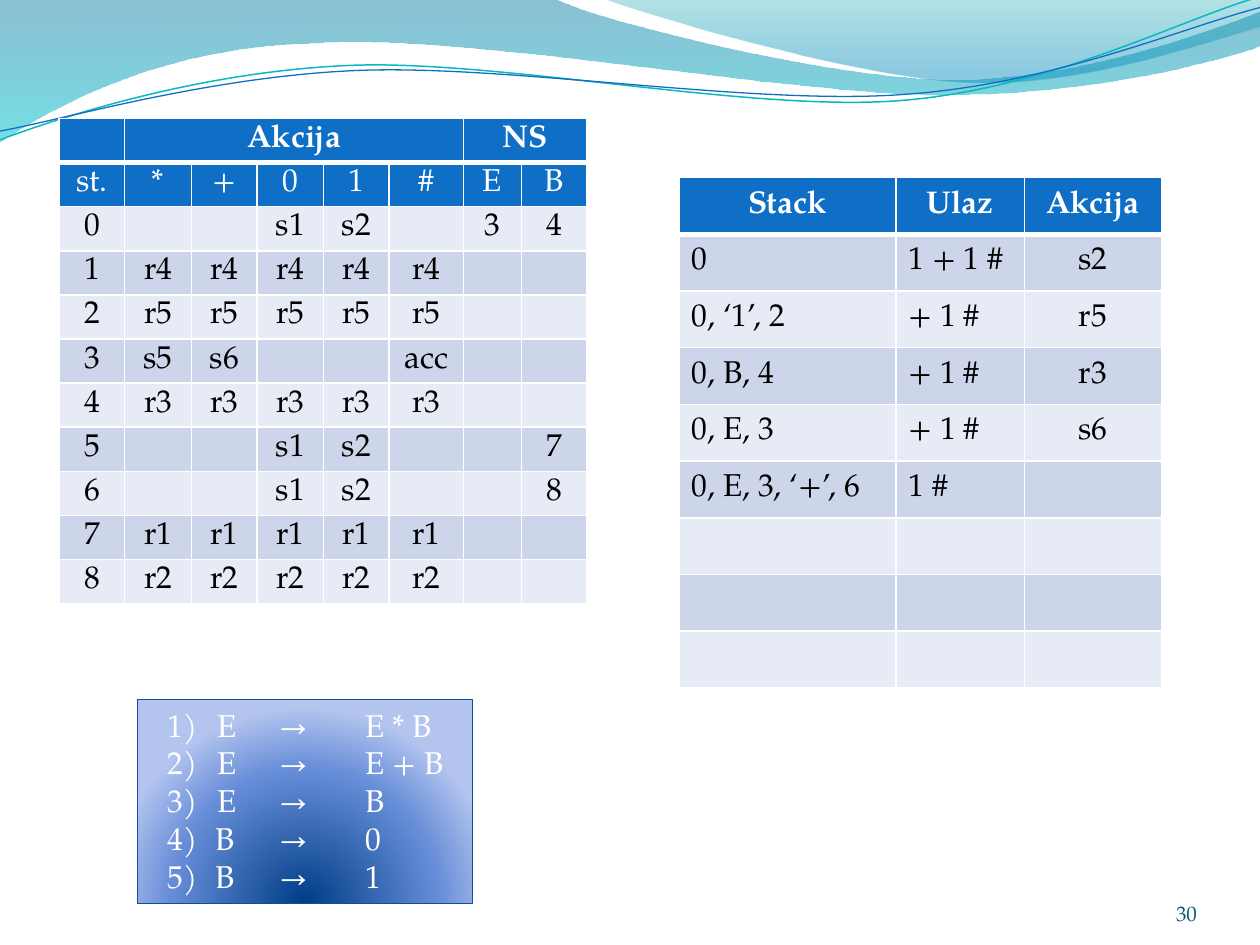
from pptx import Presentation
from pptx.dml.color import RGBColor
from pptx.enum.shapes import MSO_SHAPE as Shape
from pptx.enum.text import MSO_ANCHOR as Anchor, MSO_AUTO_SIZE as AutoSize, PP_ALIGN as Align
from pptx.oxml import parse_xml
from pptx.oxml.ns import nsdecls
from pptx.util import Inches, Pt

FONT = "TeX Gyre Pagella"
BLUE, WHITE, BLACK = "0F6FC6", "FFFFFF", "000000"
BANDS = ("E7EBF5", "CCD5EA")
A = nsdecls("a")
rgb = RGBColor.from_string

presentation = Presentation()
presentation.slide_width, presentation.slide_height = Inches(10), Inches(7.5)
slide = presentation.slides.add_slide(presentation.slide_layouts[6])


def add_wave(start, segments, close):
    """Draw an outline whose segments are line ends or cubic Bézier point triples."""
    builder = slide.shapes.build_freeform(*map(Inches, start))
    builder.add_line_segments(
        [(Inches(x), Inches(y)) for segment in segments for x, y in segment], close=close)
    shape = builder.convert_to_shape()
    shape.shadow.inherit = False
    lines = iter(list(shape._element.spPr.iter("{*}lnTo")))
    for segment in segments:
        parts = [next(lines) for _ in segment]
        if len(parts) == 3:
            curve = parse_xml(f"<a:cubicBezTo {A}/>")
            parts[0].addprevious(curve)
            for part in parts:
                curve.append(part[0])
                part.getparent().remove(part)
    return shape


def set_gradient(shape, stops, direction):
    """Fill with stops of (position %, colour, opacity %)."""
    stop_xml = "".join(
        f'<a:gs pos="{position * 1000}"><a:srgbClr val="{color}">'
        f'<a:alpha val="{opacity * 1000}"/></a:srgbClr></a:gs>'
        for position, color, opacity in stops)
    shape.fill.background()
    properties = shape._element.spPr
    properties.replace(
        properties.find("{*}noFill"),
        parse_xml(f"<a:gradFill {A}><a:gsLst>{stop_xml}</a:gsLst>{direction}</a:gradFill>"))


# Header waves
filled_waves = [
    ((0, 0),
     [[(4.4, -0.01)],
      [(4.76, 0.17), (6.64, 0.63), (7.58, 0.63)],
      [(8.53, 0.63), (9.58, 0.26), (10, 0.09)],
      [(10.01, 0.36)],
      [(9.83, 0.44), (8.7, 0.76), (7.46, 0.75)],
      [(6.22, 0.75), (3.82, 0.28), (2.57, 0.34)],
      [(1.29, 0.36), (0.46, 0.83), (-0.01, 1.13)],
      [(0, 0)]],
     [(0, "0074A1", 45), (100, "00C6CF", 55)]),
    ((4.79, -0.01),
     [[(5.09, 0.11), (6.82, 0.62), (7.69, 0.65)],
      [(8.56, 0.69), (9.61, 0.32), (10, 0.21)],
      [(10, 0)],
      [(4.79, -0.01)]],
     [(0, "00A1A9", 30), (80, "008BBF", 45)]),
]
for start, segments, stops in filled_waves:
    wave = add_wave(start, segments, True)
    set_gradient(wave, stops, '<a:lin ang="5400000" scaled="0"/>')
    wave.line.fill.background()

line_waves = [
    ((0, 1.11),
     [[(0.48, 0.93), (1.58, 0.57), (2.77, 0.52)],
      [(3.95, 0.47), (5.93, 0.89), (7.13, 0.8)],
      [(8.33, 0.71), (9.38, 0.15), (9.98, -0.02)]],
     "0AB8BF", 0.85),
    ((0, 1.04),
     [[(0.47, 0.96), (1.64, 0.61), (2.83, 0.56)],
      [(4.03, 0.51), (5.97, 0.84), (7.17, 0.75)],
      [(8.36, 0.67), (9.41, 0.21), (10, 0.06)]],
     BLUE, 0.75),
]
for start, segments, color, width in line_waves:
    wave = add_wave(start, segments, False)
    wave.fill.background()
    wave.line.color.rgb = rgb(color)
    wave.line.width = Pt(width)

# Parsing table and stack trace
tables = [
    {"left": 0.47, "top": 0.94, "row_height": 0.35, "margin": 0.02,
     "columns": [0.52, 0.53, 0.52, 0.53, 0.52, 0.59, 0.46, 0.52],
     "header_rows": 2, "left_columns": (), "merges": [(1, 5), (6, 7)],
     "rows": [
         ["", "Akcija", "", "", "", "", "NS", ""],
         ["st.", "*", "+", "0", "1", "#", "E", "B"],
         ["0", "", "", "s1", "s2", "", "3", "4"],
         ["1"] + ["r4"] * 5 + ["", ""],
         ["2"] + ["r5"] * 5 + ["", ""],
         ["3", "s5", "s6", "", "", "acc", "", ""],
         ["4"] + ["r3"] * 5 + ["", ""],
         ["5", "", "", "s1", "s2", "", "", "7"],
         ["6", "", "", "s1", "s2", "", "", "8"],
         ["7"] + ["r1"] * 5 + ["", ""],
         ["8"] + ["r2"] * 5 + ["", ""]]},
    {"left": 5.39, "top": 1.41, "row_height": 0.45, "margin": 0.05,
     "columns": [1.72, 1.02, 1.09],
     "header_rows": 1, "left_columns": (0, 1), "merges": [],
     "rows": [
         ["Stack", "Ulaz", "Akcija"],
         ["0", "1 + 1 #", "s2"],
         ["0, ‘1’, 2", "+ 1 #", "r5"],
         ["0, B, 4", "+ 1 #", "r3"],
         ["0, E, 3", "+ 1 #", "s6"],
         ["0, E, 3, ‘+’, 6", "1 #", ""]] + [[""] * 3] * 3},
]
for layout in tables:
    rows, columns = layout["rows"], layout["columns"]
    table = slide.shapes.add_table(
        len(rows), len(columns), Inches(layout["left"]), Inches(layout["top"]),
        Inches(sum(columns)), Inches(layout["row_height"] * len(rows))).table
    for column, width in zip(table.columns, columns):
        column.width = Inches(width)
    for first, last in layout["merges"]:
        table.cell(0, first).merge(table.cell(0, last))
    for row_index, row in enumerate(rows):
        table.rows[row_index].height = Inches(layout["row_height"])
        is_header = row_index < layout["header_rows"]
        for column_index, text in enumerate(row):
            cell = table.cell(row_index, column_index)
            cell.margin_top = cell.margin_bottom = Inches(layout["margin"])
            cell.vertical_anchor = Anchor.MIDDLE
            cell.fill.solid()
            cell.fill.fore_color.rgb = rgb(BLUE if is_header else BANDS[row_index % 2])
            widths = {"lnL": 1, "lnR": 1, "lnT": 3 if row_index == 1 else 1,
                      "lnB": 3 if row_index == 0 else 1}
            for position, (side, width) in enumerate(widths.items()):
                cell._tc.tcPr.insert(position, parse_xml(
                    f'<a:{side} {A} w="{Pt(width)}"><a:solidFill>'
                    f'<a:srgbClr val="{WHITE}"/></a:solidFill></a:{side}>'))
            if not text:
                continue
            cell.text = text
            paragraph = cell.text_frame.paragraphs[0]
            is_left = column_index in layout["left_columns"] and not is_header
            paragraph.alignment = Align.LEFT if is_left else Align.CENTER
            font = paragraph.runs[0].font
            for name, value in {"name": FONT, "size": Pt(18), "bold": row_index == 0}.items():
                setattr(font, name, value)
            font.color.rgb = rgb(WHITE if is_header else BLACK)

# Grammar rules: three typed lines, then two numbered paragraphs
grammar = slide.shapes.add_shape(
    Shape.RECTANGLE, Inches(1.09), Inches(5.55), Inches(2.66), Inches(1.62))
set_gradient(grammar, [(0, "003D87", 100), (68, "668DD7", 100), (100, "B3C4EF", 100)],
             '<a:path path="circle"><a:fillToRect l="50000" t="130000" r="50000" b="-30000"/></a:path>')
grammar.line.color.rgb = rgb("095295")
grammar.line.width = Pt(0.75)
grammar.shadow.inherit = False
frame = grammar.text_frame
for name, value in {"word_wrap": True, "auto_size": AutoSize.SHAPE_TO_FIT_TEXT,
                    "vertical_anchor": Anchor.TOP, "margin_left": Inches(0.24)}.items():
    setattr(frame, name, value)
rules = ["1) \tE\t→\tE * B\v2) \tE\t→ \tE + B\v3) \tE\t→ \tB", "B\t→\t0", "B\t→\t1"]
tab_stops = "".join(f'<a:tab pos="{Inches(stop)}" algn="l"/>' for stop in (0.4, 0.89, 1.57))
for index, text in enumerate(rules):
    paragraph = frame.add_paragraph() if index else frame.paragraphs[0]
    paragraph.text = text
    paragraph.alignment = Align.LEFT
    properties = paragraph._p.get_or_add_pPr()
    if index:
        properties.set("marL", str(Inches(0.38)))
        properties.set("indent", str(-Inches(0.38)))
        properties.append(parse_xml(f'<a:buAutoNum {A} type="arabicParenR" startAt="4"/>'))
    properties.append(parse_xml(f"<a:tabLst {A}>{tab_stops}</a:tabLst>"))
    for run in paragraph.runs:
        run.font.name, run.font.size = FONT, Pt(18)
        run.font.color.rgb = rgb(WHITE)

# Slide number
number = slide.shapes.add_textbox(Inches(8.67), Inches(6.95), Inches(0.83), Inches(0.4))
frame = number.text_frame
for name, value in {"margin_left": 0, "margin_top": 0, "margin_right": 0, "margin_bottom": 0,
                    "word_wrap": True, "vertical_anchor": Anchor.BOTTOM, "text": "30"}.items():
    setattr(frame, name, value)
paragraph = frame.paragraphs[0]
paragraph.alignment = Align.RIGHT
font = paragraph.runs[0].font
font.name, font.size = FONT, Pt(12)
font.color.rgb = rgb("045D75")

presentation.save("out.pptx")
